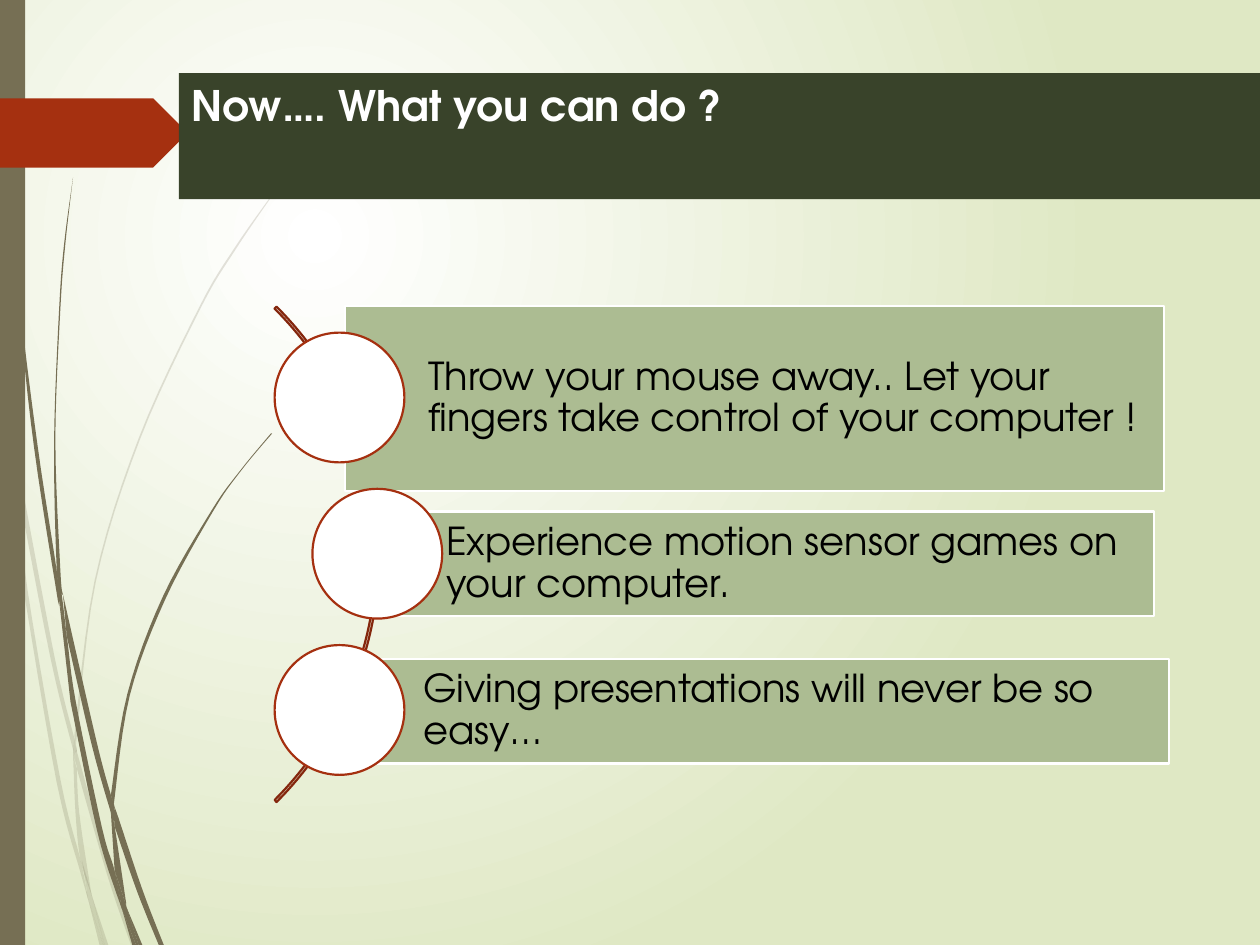
import pptx
import pptx.util
import pptx.dml.color
import pptx.enum.shapes
import pptx.enum.text
import pptx.oxml
import pptx.oxml.ns
from lxml import etree

Inches = pptx.util.Inches
Pt = pptx.util.Pt
SHAPE = pptx.enum.shapes.MSO_SHAPE
ANCHOR = pptx.enum.text.MSO_ANCHOR
qn = pptx.oxml.ns.qn

FONT = "TeX Gyre Adventor"
COLORS = {
    "white": "FFFFFF", "black": "000000", "backdrop": "DFE8C4", "stem": "766F54",
    "tag": "A53010", "arc": "84260D", "banner": "39432A", "bar": "ACBC92",
}
HEADING = "Now\u2026. What you can do ?"
IDEAS = [
    ("Throw your mouse away.. Let your fingers take control of your computer !",
     (2.74, 2.43, 6.5, 1.47), (2.18, 2.64)),
    ("Experience motion sensor games on your computer.",
     (2.88, 4.06, 6.28, 0.83), (2.48, 3.88)),
    ("Giving presentations will never be so easy\u2026",
     (2.7, 5.23, 6.58, 0.83), (2.18, 5.12)),
]
BALL = 1.03

PALE_BLADES = [
    ([(0, 2.82), (0.06, 3.22), (0.08, 3.5)], [(0.07, 3.44), (0, 2.99)]),
    ([(0.1, 3.45), (0.43, 5.2), (0.59, 5.86)], [(0.59, 5.99), (0.4, 5.22), (0.12, 3.76)]),
    ([(0.61, 5.96), (0.64, 6.07), (0.88, 6.92), (1.08, 7.5)], [(1.04, 7.5), (0.85, 6.94), (0.61, 6.1)]),
    ([(0.73, 7.11), (0.86, 7.5)], [(0.83, 7.5)]),
    ([(0.08, 3.5), (0.12, 3.76), (0.22, 4.69), (0.48, 6.19), (0.64, 6.83), (0.7, 7.14)],
     [(0.64, 6.93), (0.45, 6.21), (0.19, 4.7)]),
    ([(0.58, 5.99), (0.6, 6.46), (0.64, 6.83), (0.73, 7.11)], [(0.72, 7.06), (0.63, 6.46), (0.61, 6.1)]),
    ([(0.61, 5.96), (0.61, 5.84), (0.76, 4.62), (1.11, 3.49), (1.59, 2.45), (1.87, 1.98), (2.17, 1.54)],
     [(2.17, 1.53), (1.86, 1.97), (1.58, 2.44), (1.1, 3.48), (0.75, 4.61), (0.59, 5.84)]),
    ([(0.7, 7.14), (0.82, 7.5)], [(0.79, 7.5)]),
    ([(0.59, 5.86), (0.61, 5.96), (0.61, 6.1)], [(0.61, 6.08), (0.58, 5.99)]),
    ([(0.65, 6.83), (0.73, 7.11), (0.83, 7.5)], [(0.82, 7.5), (0.7, 7.14), (0.69, 7.07)]),
]
DARK_BLADES = [
    ([(0.03, 0), (0.04, 0.48), (0.06, 1.09), (0.15, 2.32), (0.3, 3.55), (0.45, 4.53), (0.47, 4.81)],
     [(0.46, 4.77), (0.27, 3.55), (0.14, 2.33), (0.05, 1.1), (0.03, 0.48), (0.02, 0)]),
    ([(0.5, 4.72), (0.77, 5.9), (0.88, 6.31)], [(0.88, 6.45), (0.73, 5.92), (0.53, 5.05)]),
    ([(0.91, 6.41), (0.94, 6.49), (1.13, 7.06), (1.3, 7.5)], [(1.26, 7.5), (1.09, 7.08), (0.91, 6.56)]),
    ([(0.47, 4.77), (0.53, 5.05), (0.6, 5.56), (0.81, 6.57), (0.91, 6.91), (0.97, 7.22)],
     [(0.92, 7.08), (0.77, 6.59), (0.56, 5.57)]),
    ([(0.5, 4.72), (0.48, 4.53), (0.44, 3.49), (0.48, 2.45), (0.52, 1.93), (0.58, 1.41)],
     [(0.58, 1.41), (0.51, 1.93), (0.47, 2.45), (0.43, 3.49), (0.45, 4.49), (0.49, 4.72)]),
    ([(1, 7.19), (1.13, 7.5)], [(1.1, 7.5)]),
    ([(0.45, 4.49), (0.49, 4.72), (0.53, 5.05)], [(0.47, 4.77), (0.45, 4.53)]),
    ([(0.91, 6.41), (0.91, 6.33), (1.03, 5.52), (1.31, 4.76), (1.69, 4.06), (1.91, 3.74), (2.16, 3.44)],
     [(2.15, 3.44), (1.91, 3.73), (1.68, 4.05), (1.29, 4.74), (1.01, 5.51), (0.88, 6.31)]),
    ([(0.97, 7.22), (1.08, 7.5)], [(1.05, 7.5)]),
    ([(0.88, 6.45), (0.91, 6.56), (1, 7.16)], [(1, 7.19), (0.96, 7.06), (0.91, 6.91)]),
    ([(0.88, 6.31), (0.91, 6.41), (0.91, 6.56)], [(0.9, 6.51), (0.88, 6.45)]),
    ([(0.91, 6.91), (0.96, 7.06), (1.1, 7.5)], [(1.08, 7.5), (0.97, 7.22), (0.96, 7.17)]),
]


def rgb(name):
    return pptx.dml.color.RGBColor.from_string(COLORS[name])


def smooth(edge, steps=6):
    padded = [edge[0], *edge, edge[-1]]
    points = []
    for a, b, c, d in zip(padded, padded[1:], padded[2:], padded[3:]):
        for step in range(steps):
            t = step / steps
            points.append(tuple(
                q + t * (r - p) / 2 + t * t * (2 * p - 5 * q + 4 * r - s) / 2
                + t ** 3 * (3 * q - p - 3 * r + s) / 2
                for p, q, r, s in zip(a, b, c, d)))
    return points + [edge[-1]]


def paint(shape, fill=None, line=None):
    shape.shadow.inherit = False
    if fill:
        shape.fill.solid()
        shape.fill.fore_color.rgb = rgb(fill)
    else:
        shape.fill.background()
    if line:
        shape.line.color.rgb = rgb(line)
        shape.line.width = Pt(1.25)
    else:
        shape.line.fill.background()
    return shape


def add_part(kind, box, fill=None, line=None):
    return paint(slide.shapes.add_shape(kind, *map(Inches, box)), fill, line)


def add_blade(edges, alpha=None):
    outline = [(Inches(x), Inches(y)) for edge in edges for x, y in smooth(edge)]
    builder = slide.shapes.build_freeform(*outline[0])
    builder.add_line_segments(outline[1:], close=True)
    blade = paint(builder.convert_to_shape(), "stem")
    if alpha:
        color = blade._element.spPr.find(".//" + qn("a:srgbClr"))
        etree.SubElement(color, qn("a:alpha")).set("val", str(alpha * 1000))


def write(frame, text, size, color, bold=False):
    frame.text = text
    frame.word_wrap = True
    paragraph = frame.paragraphs[0]
    paragraph.alignment = pptx.enum.text.PP_ALIGN.LEFT
    font = paragraph.runs[0].font
    font.name, font.size, font.bold = FONT, Pt(size), bold
    font.color.rgb = rgb(color)
    return paragraph


deck = pptx.Presentation()
deck.slide_width, deck.slide_height = Inches(10), Inches(7.5)
slide = deck.slides.add_slide(deck.slide_layouts[5])

backdrop = slide.background.fill
backdrop.gradient()
for stop, position, name in zip(backdrop.gradient_stops, (0, 1), ("white", "backdrop")):
    stop.position = position
    stop.color.rgb = rgb(name)
gradient = slide._element.find(".//" + qn("a:gradFill"))
gradient.replace(gradient.find(qn("a:lin")), pptx.oxml.parse_xml(
    '<a:path xmlns:a="http://schemas.openxmlformats.org/drawingml/2006/main" path="circle">'
    '<a:fillToRect l="50000" t="50000" r="100000" b="100000"/></a:path>'))

for blade_edges in PALE_BLADES:
    add_blade(blade_edges, 20)
for blade_edges in DARK_BLADES:
    add_blade(blade_edges)
add_part(SHAPE.RECTANGLE, (0, 0, 0.2, 7.5), "stem")
add_part(SHAPE.PENTAGON, (0, 0.78, 1.49, 0.55), "tag")

heading = slide.shapes.title
heading.left, heading.top, heading.width, heading.height = map(Inches, (1.42, 0.58, 8.58, 1))
heading.fill.solid()
heading.fill.fore_color.rgb = rgb("banner")
heading.text_frame.vertical_anchor = ANCHOR.TOP
write(heading.text_frame, HEADING, 24, "white", True)
slide.shapes._spTree.append(heading._element)

arc = add_part(SHAPE.BLOCK_ARC, (-2.55, 1.62, 5.56, 5.56), line="arc")
for index, value in enumerate((189, 27, 0.004)):
    arc.adjustments[index] = value

for text, bar_box, ball_corner in IDEAS:
    frame = add_part(SHAPE.RECTANGLE, bar_box, "bar", "white").text_frame
    frame.margin_left = Inches(0.66)
    frame.margin_right = frame.margin_top = frame.margin_bottom = Inches(0.06)
    frame.vertical_anchor = ANCHOR.MIDDLE
    write(frame, text, 22, "black").line_spacing = 0.9
    add_part(SHAPE.OVAL, (*ball_corner, BALL, BALL), "white", "tag")

deck.save("out.pptx")
